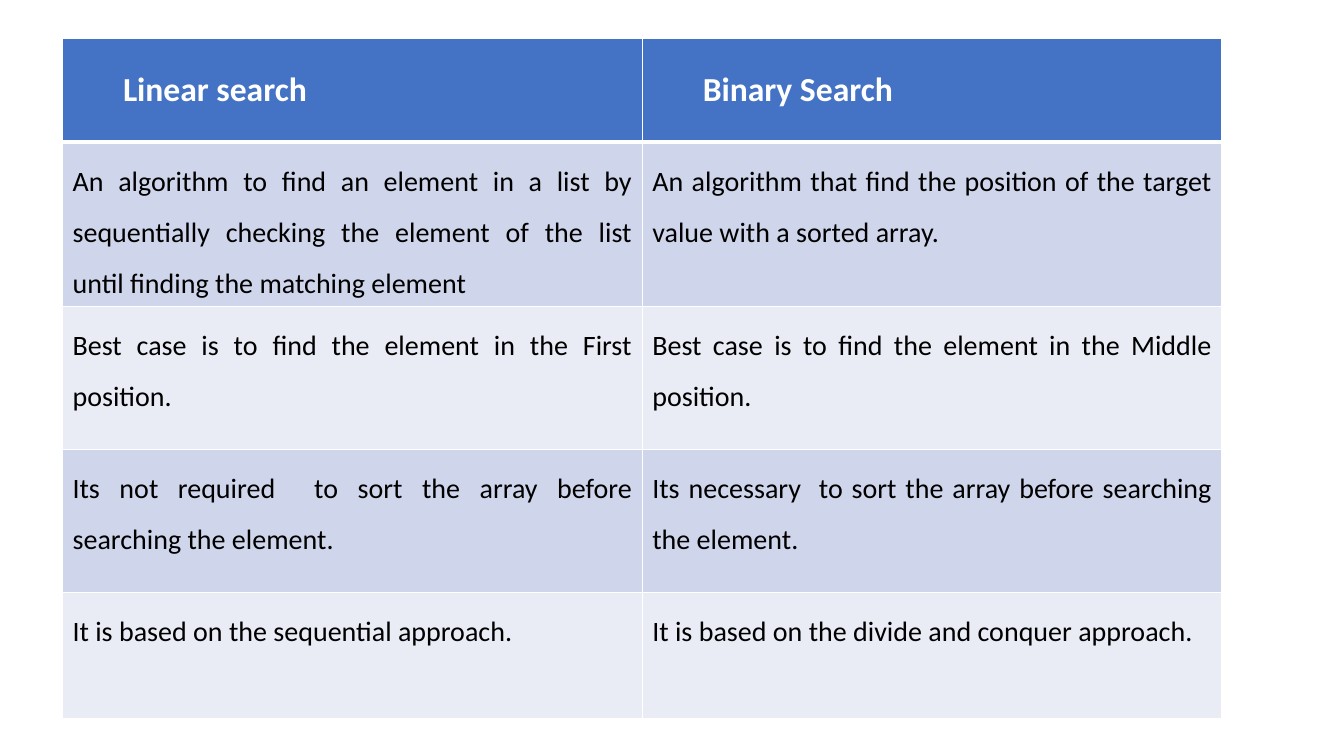
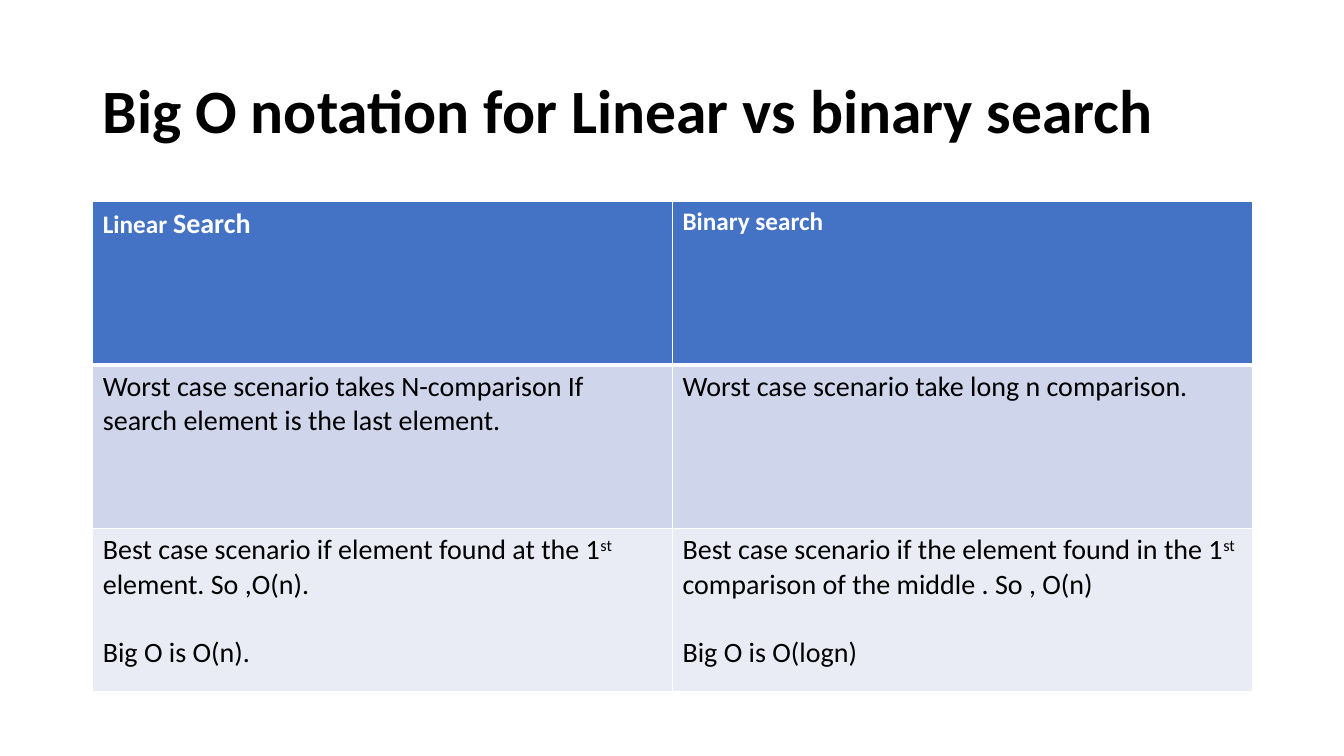
from dataclasses import dataclass

from lxml import etree
from pptx import Presentation
from pptx.dml.color import RGBColor
from pptx.enum.text import MSO_ANCHOR, PP_ALIGN
from pptx.oxml.ns import qn
from pptx.util import Inches, Pt

TOP, MIDDLE = MSO_ANCHOR.TOP, MSO_ANCHOR.MIDDLE
LEFT, JUSTIFY = PP_ALIGN.LEFT, PP_ALIGN.JUSTIFY


@dataclass(frozen=True)
class Theme:
    font: str = "Calibri"
    ink: str = "000000"
    white: str = "FFFFFF"
    head: str = "4472C4"
    bands: tuple = ("CFD5EA", "E9EBF5")
    title: int = 44
    large: int = 24
    body: int = 20
    small: int = 18
    thin: int = 1
    thick: int = 3
    width: float = 11.5


THEME = Theme()
SUPER = {"baseline": "30000"}
BIG = {"sz": str(THEME.body * 100)}

SEARCH = [
    ["Linear search", "Binary Search"],
    [
        "An algorithm to find an element in a list by sequentially checking "
        "the element of the list until finding the matching element",
        "An algorithm that find the position of the target value with a sorted array.",
    ],
    [
        "Best case is to find the element in the First position.",
        "Best case is to find the element in the Middle position.",
    ],
    [
        "Its not required  to sort the array before searching the element.",
        "Its necessary  to sort the array before searching the element.",
    ],
    [
        "It is based on the sequential approach.",
        "It is based on the divide and conquer approach.",
    ],
]

# A cell is a string or a list of paragraphs; a paragraph is a list of (text, attributes).
BIG_O = [
    [[[("Linear ", {}), ("Search", BIG)]], "Binary search"],
    [
        "Worst case scenario takes N-comparison If search element is the last element.",
        "Worst case scenario take long n comparison.",
    ],
    [
        [
            [("Best case scenario if element found at the 1", {}), ("st", SUPER),
             (" element. So ,O(n).", {})],
            [("Big O is O(n).", {})],
        ],
        [
            [("Best case scenario if the element found in the 1", {}), ("st", SUPER),
             (" comparison of the middle . So , O(n)", {})],
            [("Big O is O(logn)", {})],
        ],
    ],
]


def write(frame, text, size=THEME.body, color=THEME.ink, bold=False,
          align=LEFT, line=1.0, indent=0, gap=0):
    """Fill a frame; gap is the space in points before each later paragraph."""
    paras = [[(text, {})]] if isinstance(text, str) else text
    for i, runs in enumerate(paras):
        para = frame.add_paragraph() if i else frame.paragraphs[0]
        para.alignment = align
        para.line_spacing = line
        if i:
            para.space_before = Pt(gap)
        if indent:
            para.level = 1
            props = para._p.get_or_add_pPr()
            props.set("marL", str(Inches(indent)))
            props.set("indent", "0")
        for words, attrs in runs:
            run = para.add_run()
            run.text = words
            font = run.font
            font.name, font.size, font.bold = THEME.font, Pt(size), bold
            font.color.rgb = RGBColor.from_string(color)
            for key, value in attrs.items():
                font._element.set(key, value)


def edge(cell, side, width):
    props = cell._tc.get_or_add_tcPr()
    line = etree.SubElement(props, qn(f"a:ln{side}"), w=str(Pt(width)))
    fill = etree.SubElement(line, qn("a:solidFill"))
    etree.SubElement(fill, qn("a:srgbClr"), val=THEME.white)


def add_grid(slide, left, top, heights, rows, head, body):
    """Add a banded table; head and body hold the text format of their rows."""
    count = len(rows[0])
    table = slide.shapes.add_table(
        len(rows), count, Inches(left), Inches(top),
        Inches(THEME.width), Inches(sum(heights))).table
    table.horz_banding = False
    for col in table.columns:
        col.width = Inches(THEME.width / count)
    for r, (height, texts) in enumerate(zip(heights, rows)):
        table.rows[r].height = Inches(height)
        for c, text in enumerate(texts):
            cell = table.cell(r, c)
            # Borders come before the fill in the cell properties.
            for side in "LRTB":
                rule = (r, side) in ((0, "B"), (1, "T"))
                edge(cell, side, THEME.thick if rule else THEME.thin)
            cell.fill.solid()
            tint = THEME.bands[(r - 1) % 2] if r else THEME.head
            cell.fill.fore_color.rgb = RGBColor.from_string(tint)
            style = dict(body if r else head)
            cell.vertical_anchor = style.pop("anchor", TOP)
            write(cell.text_frame, text, **style)


def add_title(slide, text):
    box = slide.shapes.add_textbox(
        Inches(0.92), Inches(0.4), Inches(THEME.width), Inches(1.45))
    frame = box.text_frame
    frame.word_wrap = True
    frame.vertical_anchor = MIDDLE
    write(frame, text, size=THEME.title, bold=True, line=0.9)


def main():
    deck = Presentation()
    deck.slide_width, deck.slide_height = Inches(13.33), Inches(7.5)
    blank = deck.slide_layouts[6]
    head = {"color": THEME.white, "bold": True}

    slide = deck.slides.add_slide(blank)
    add_grid(slide, 0.62, 0.38, [1.03, 1.63, 1.42, 1.42, 1.25], SEARCH,
             head={**head, "size": THEME.large, "indent": 0.5, "anchor": MIDDLE},
             body={"align": JUSTIFY, "line": 1.5})

    slide = deck.slides.add_slide(blank)
    add_title(slide, "Big O notation for Linear vs binary search")
    add_grid(slide, 0.92, 2, [1.62] * len(BIG_O), BIG_O,
             head={**head, "size": THEME.small},
             body={"gap": 24})

    deck.save("out.pptx")


if __name__ == "__main__":
    main()
